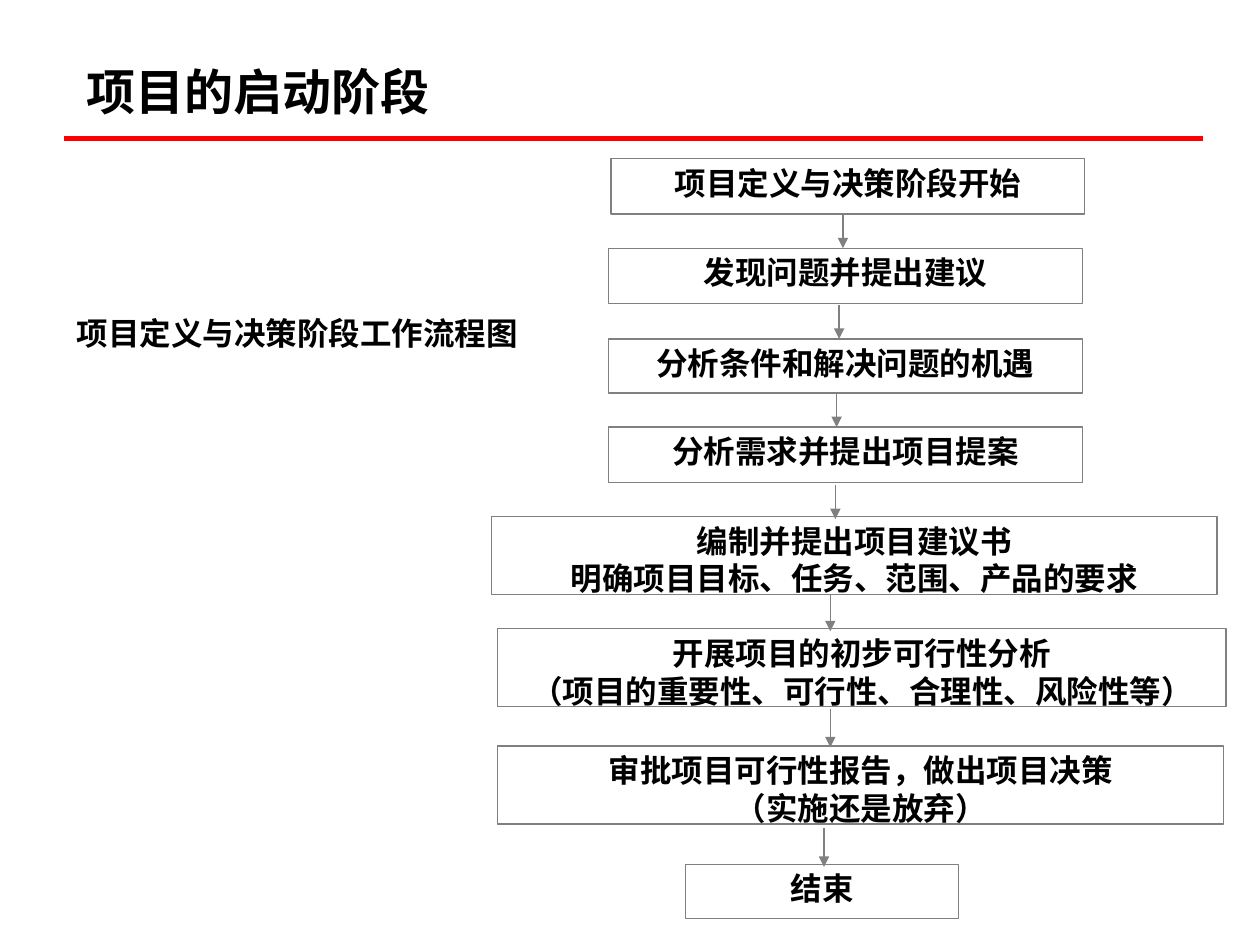
from dataclasses import dataclass

from pptx import Presentation
from pptx.dml.color import RGBColor
from pptx.enum.shapes import MSO_CONNECTOR, MSO_SHAPE
from pptx.enum.text import MSO_ANCHOR, MSO_AUTO_SIZE, PP_ALIGN
from pptx.oxml.ns import qn
from pptx.util import Inches, Pt
from lxml.etree import SubElement


@dataclass(frozen=True)
class Theme:
    ink: RGBColor = RGBColor(0, 0, 0)
    rule: RGBColor = RGBColor(0xFF, 0, 0)
    outline: RGBColor = RGBColor(0x80, 0x80, 0x80)
    title_font: str = "Arial"
    body_font: str = "Times New Roman"
    title_size: int = 28
    body_size: int = 18
    rule_width: float = 3
    thin_width: float = 0.75


class SlideBuilder:
    def __init__(self, page, theme):
        self.page = page
        self.theme = theme

    def fill_text(self, shape, lines, font, size, align, insets):
        frame = shape.text_frame
        left, top, right, bottom = (Inches(inset) for inset in insets)
        frame_format = {
            "auto_size": MSO_AUTO_SIZE.NONE, "word_wrap": True,
            "vertical_anchor": MSO_ANCHOR.TOP,
            "margin_left": left, "margin_top": top,
            "margin_right": right, "margin_bottom": bottom,
        }
        for name, value in frame_format.items():
            setattr(frame, name, value)
        span_format = {"name": font, "size": Pt(size), "bold": True}
        for number, line in enumerate(lines):
            para = frame.paragraphs[0] if number == 0 else frame.add_paragraph()
            para.alignment = align
            span = para.add_run()
            span.text = line
            for name, value in span_format.items():
                setattr(span.font, name, value)
            span.font.color.rgb = self.theme.ink

    def title(self, text, *place):
        box = self.page.shapes.title
        box.left, box.top, box.width, box.height = map(Inches, place)
        self.fill_text(box, [text], self.theme.title_font, self.theme.title_size,
                       PP_ALIGN.LEFT, (0.1, 0.05, 0.1, 0.05))

    def label(self, text, *place):
        box = self.page.shapes.add_textbox(*map(Inches, place))
        self.fill_text(box, [text], self.theme.body_font, self.theme.body_size,
                       PP_ALIGN.CENTER, (0.04, 0, 0.04, 0))

    def step(self, lines, *place):
        box = self.page.shapes.add_shape(MSO_SHAPE.RECTANGLE, *map(Inches, place))
        box.shadow.inherit = False
        box.fill.background()
        box.line.color.rgb = self.theme.outline
        box.line.width = Pt(self.theme.thin_width)
        self.fill_text(box, lines, self.theme.body_font, self.theme.body_size,
                       PP_ALIGN.CENTER, (0.04, 0.04, 0.04, 0))

    def line(self, start, end, color, width):
        connector = self.page.shapes.add_connector(
            MSO_CONNECTOR.STRAIGHT, *map(Inches, start + end))
        connector.line.color.rgb = color
        connector.line.width = Pt(width)
        SubElement(connector._element.spPr, qn("a:effectLst"))
        return connector

    def arrow(self, x, top, bottom):
        connector = self.line((x, top), (x, bottom),
                              self.theme.outline, self.theme.thin_width)
        outline = connector._element.spPr.find(qn("a:ln"))
        SubElement(outline, qn("a:tailEnd"), type="triangle")


# Flow steps: lines of text, then left, top, width, height
STEPS = [
    (["项目定义与决策阶段开始"], 4.85, 1.26, 3.76, 0.44),
    (["发现问题并提出建议"], 4.83, 1.97, 3.76, 0.44),
    (["分析条件和解决问题的机遇"], 4.83, 2.69, 3.76, 0.43),
    (["分析需求并提出项目提案"], 4.83, 3.39, 3.76, 0.44),
    (["编制并提出项目建议书", "明确项目目标、任务、范围、产品的要求"], 3.9, 4.1, 5.76, 0.62),
    (["开展项目的初步可行性分析", "（项目的重要性、可行性、合理性、风险性等）"],
     3.95, 4.99, 5.78, 0.62),
    (["审批项目可行性报告，做出项目决策", "（实施还是放弃）"], 3.95, 5.92, 5.76, 0.62),
    (["结束"], 5.44, 6.86, 2.17, 0.43),
]

# Arrows between steps: x, top, bottom
ARROWS = [
    (6.69, 1.7, 1.97), (6.66, 2.42, 2.69), (6.64, 3.13, 3.39), (6.63, 3.85, 4.12),
    (6.59, 4.72, 5.01), (6.59, 5.63, 5.93), (6.54, 6.57, 6.88),
]


def main():
    deck = Presentation()
    deck.slide_width, deck.slide_height = Inches(10), Inches(7.5)
    theme = Theme()
    page = deck.slides.add_slide(deck.slide_layouts.get_by_name("Title Only"))
    builder = SlideBuilder(page, theme)

    # Heading and rule
    builder.title("项目的启动阶段", 0.59, 0.44, 4.02, 0.57)
    builder.line((0.51, 1.1), (9.55, 1.1), theme.rule, theme.rule_width)

    # Caption beside the flow
    builder.label("项目定义与决策阶段工作流程图", 0.35, 2.49, 4.02, 0.49)

    # Flow chart
    for lines, *place in STEPS:
        builder.step(lines, *place)
    for arrow in ARROWS:
        builder.arrow(*arrow)

    deck.save("out.pptx")


if __name__ == "__main__":
    main()
